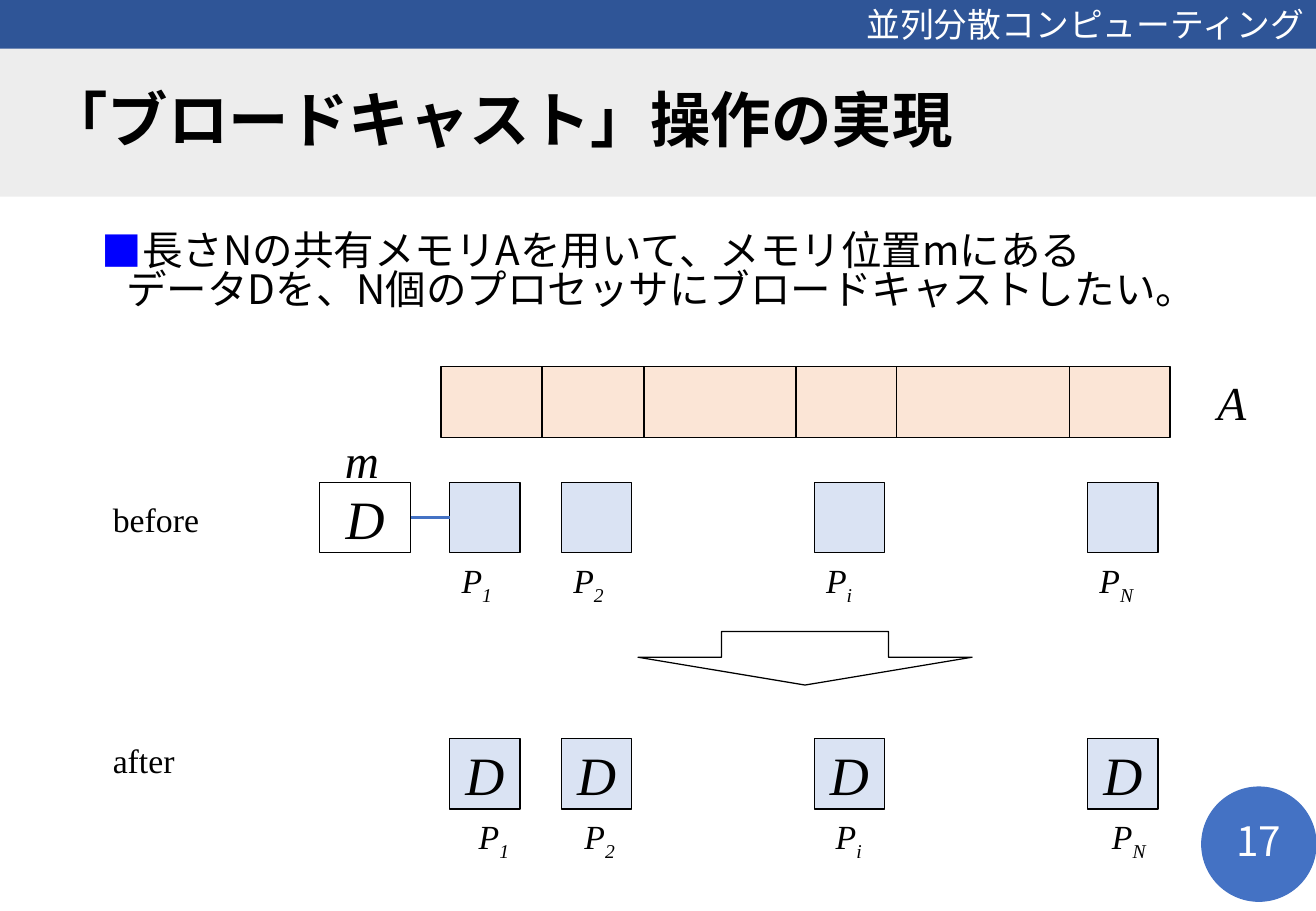
from lxml.etree import SubElement as Sub
from pptx import Presentation
from pptx.dml.color import RGBColor as Rgb
from pptx.enum.shapes import MSO_CONNECTOR as Link, MSO_SHAPE as Kind
from pptx.enum.text import MSO_ANCHOR as Anchor, PP_ALIGN as Align
from pptx.oxml.ns import qn
from pptx.util import Pt

PX = 9144
WIDE, HIGH = 1083, 750

BLACK = Rgb(0x00, 0x00, 0x00)
WHITE = Rgb(0xFF, 0xFF, 0xFF)
NAVY = Rgb(0x2F, 0x55, 0x97)
BLUE = Rgb(0x44, 0x72, 0xC4)
GRAY = Rgb(0xED, 0xED, 0xED)
PALE = Rgb(0xDA, 0xE3, 0xF3)
PEACH = Rgb(0xFB, 0xE5, 0xD6)

SANS, SERIF = "Noto Sans CJK JP", "Times New Roman"
HEAD = dict(size=Pt(20), name="Lato", color=WHITE)
TITLE = dict(size=Pt(35.8), name=SANS, color=BLACK, bold=True)
BODY = dict(size=Pt(24), name=SANS, color=BLACK)
PAGE = dict(size=Pt(24), name=SANS, color=WHITE)
WORD = dict(size=Pt(20), name=SERIF, color=BLACK)
NAME = dict(WORD, italic=True)
SIGN = dict(NAME, size=Pt(28))
DATA = dict(NAME, size=Pt(32))

COURSE = "並列分散コンピューティング"
TOPIC = "「ブロードキャスト」操作の実現"
GOAL = "長さNの共有メモリAを用いて、メモリ位置mにある\nデータDを、N個のプロセッサにブロードキャストしたい。"
STAGES = [
    ("before", 406, 397, "", Align.LEFT),
    ("after", 604, 608, "D", Align.CENTER),
]
CELLS = [
    ("1", 370, 370, 370, 73),
    ("2", 462, 462, 470, 47),
    ("i", 670, 670, 677, 43),
    ("N", 895, 895, 904, 50),
]
CUTS = [446, 530, 655, 738, 880]
SIDE = 58
ARRAY = (363, 302, 600, SIDE)

deck = Presentation()
deck.slide_width, deck.slide_height = WIDE * PX, HIGH * PX
slide = deck.slides.add_slide(deck.slide_layouts[6])
shapes = slide.shapes


def emu(box):
    return [n * PX for n in box]


def style(run, form):
    for key, value in form.items():
        if key == "color":
            run.font.color.rgb = value
        else:
            setattr(run.font, key, value)
    Sub(run.font._element, qn("a:ea"), typeface=form["name"])


def write(shape, text, form, align=Align.LEFT, sub="", wrap=True, mid=False):
    frame = shape.text_frame
    frame.word_wrap = wrap
    frame.vertical_anchor = Anchor.MIDDLE if mid else Anchor.TOP
    para = frame.paragraphs[0]
    para.text, para.alignment = text, align
    if sub:
        para.add_run().text = sub
    for run in para.runs:
        style(run, form)
    if sub:
        para.runs[-1].font._element.set("baseline", "-25000")
    return para


def draw(kind, box, fill=None, line=None):
    shape = shapes.add_shape(kind, *emu(box))
    shape.shadow.inherit = False
    if fill is None:
        shape.fill.background()
    else:
        shape.fill.solid()
        shape.fill.fore_color.rgb = fill
    if line is None:
        shape.line.fill.background()
    else:
        shape.line.color.rgb = line
        shape.line.width = Pt(0.75)
    return shape


def label(box, text, form, **more):
    return write(shapes.add_textbox(*emu(box)), text, form, **more)


def join(ends, color, width):
    line = shapes.add_connector(Link.STRAIGHT, *emu(ends))
    line.line.color.rgb, line.line.width = color, Pt(width)
    Sub(line._element.spPr, qn("a:effectLst"))
    return line


draw(Kind.OVAL, (989, 648, 94, 94), BLUE, BLUE)
bar = draw(Kind.RECTANGLE, (0, -2, WIDE, 44), NAVY)
write(bar, COURSE, HEAD, Align.RIGHT, mid=True)
band = draw(Kind.RECTANGLE, (0, 40, WIDE, 122), GRAY)
band.text_frame.margin_left = 39 * PX
write(band, TOPIC, TITLE, mid=True).line_spacing = 0.9

goal = label((74, 188, 961, 100), GOAL, BODY)
goal.line_spacing = 0.8
props = goal._p.get_or_add_pPr()
props.set("marL", str(20 * PX))
props.set("indent", str(-20 * PX))
Sub(Sub(props, qn("a:buClr")), qn("a:srgbClr"), val="0000FF")
Sub(props, qn("a:buFont"), typeface=SANS)
Sub(props, qn("a:buChar"), char="■")

draw(Kind.RECTANGLE, ARRAY, PEACH, BLACK)
top = ARRAY[1]
for x in CUTS:
    join((x, top, x, top + SIDE), BLACK, 0.75)
label((992, 302, 44, 57), "A", SIGN, wrap=False)

source = draw(Kind.RECTANGLE, (263, 397, 75, SIDE), None, BLACK)
write(source, "D", DATA, Align.CENTER, wrap=False, mid=True)
label((274, 350, 49, 57), "m", SIGN, wrap=False)

firsts = []
for stage, y, top, text, align in STAGES:
    label((83, y, 154, 44), stage, WORD)
    for sub, left, start, center, width in CELLS:
        cell = draw(Kind.RECTANGLE, (left, top, SIDE, SIDE), PALE, BLACK)
        if text:
            write(cell, text, DATA, Align.CENTER, wrap=False, mid=True)
        if sub == "1":
            firsts.append(cell)
        x = center if text else start
        label((x, top + 59, width, 44), "P", NAME, align=align,
              sub=sub, wrap=sub == "1")

wire = join((338, 426, 370, 426), BLUE, 2.25)
wire.begin_connect(source, 3)
wire.end_connect(firsts[0], 1)

arrow = draw(Kind.DOWN_ARROW, (525, 520, 275, 44), WHITE, BLACK)
arrow.adjustments[0], arrow.adjustments[1] = 0.5, 0.52
label((989, 672, 94, 40), "17", PAGE, align=Align.CENTER, mid=True)

deck.save("out.pptx")
